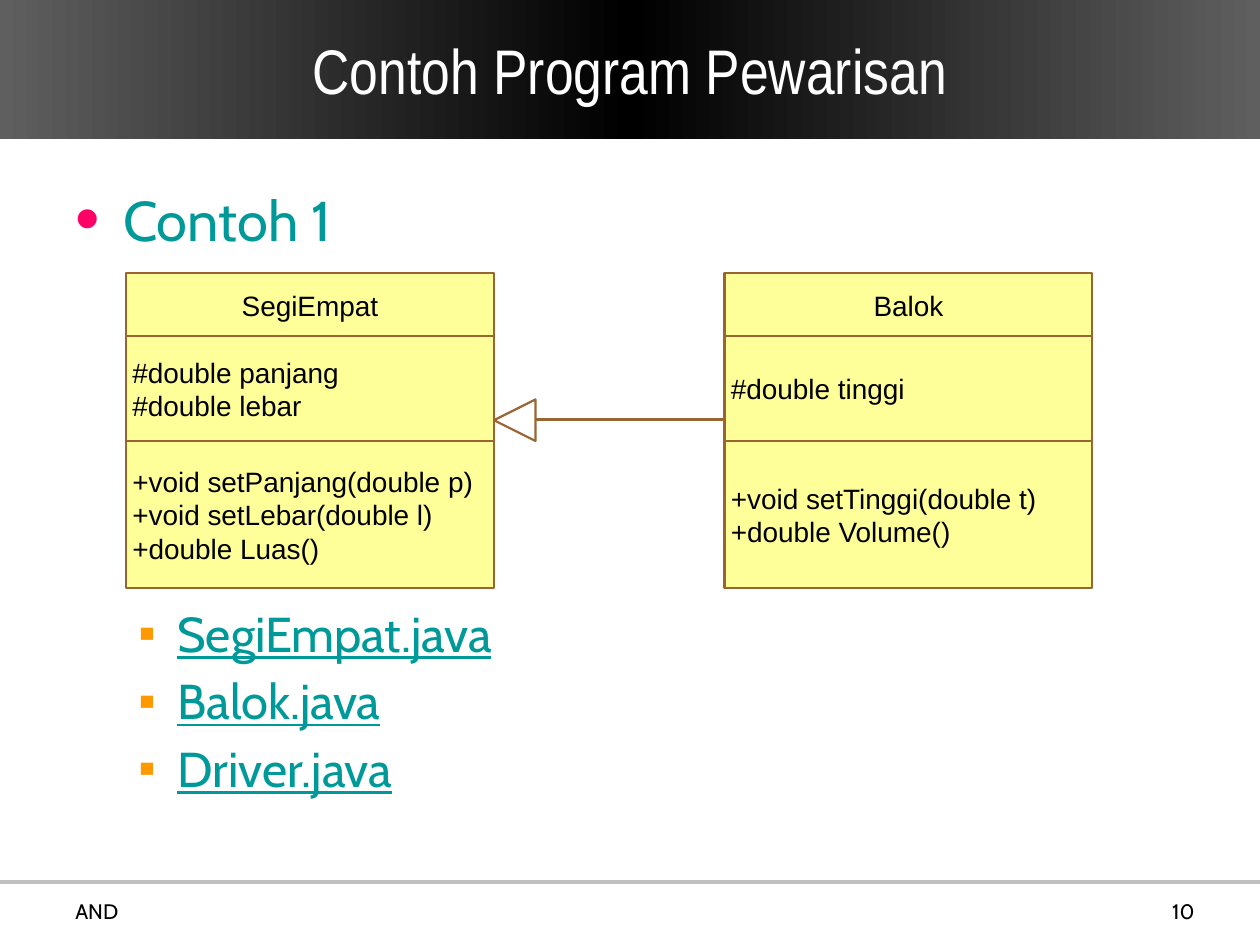
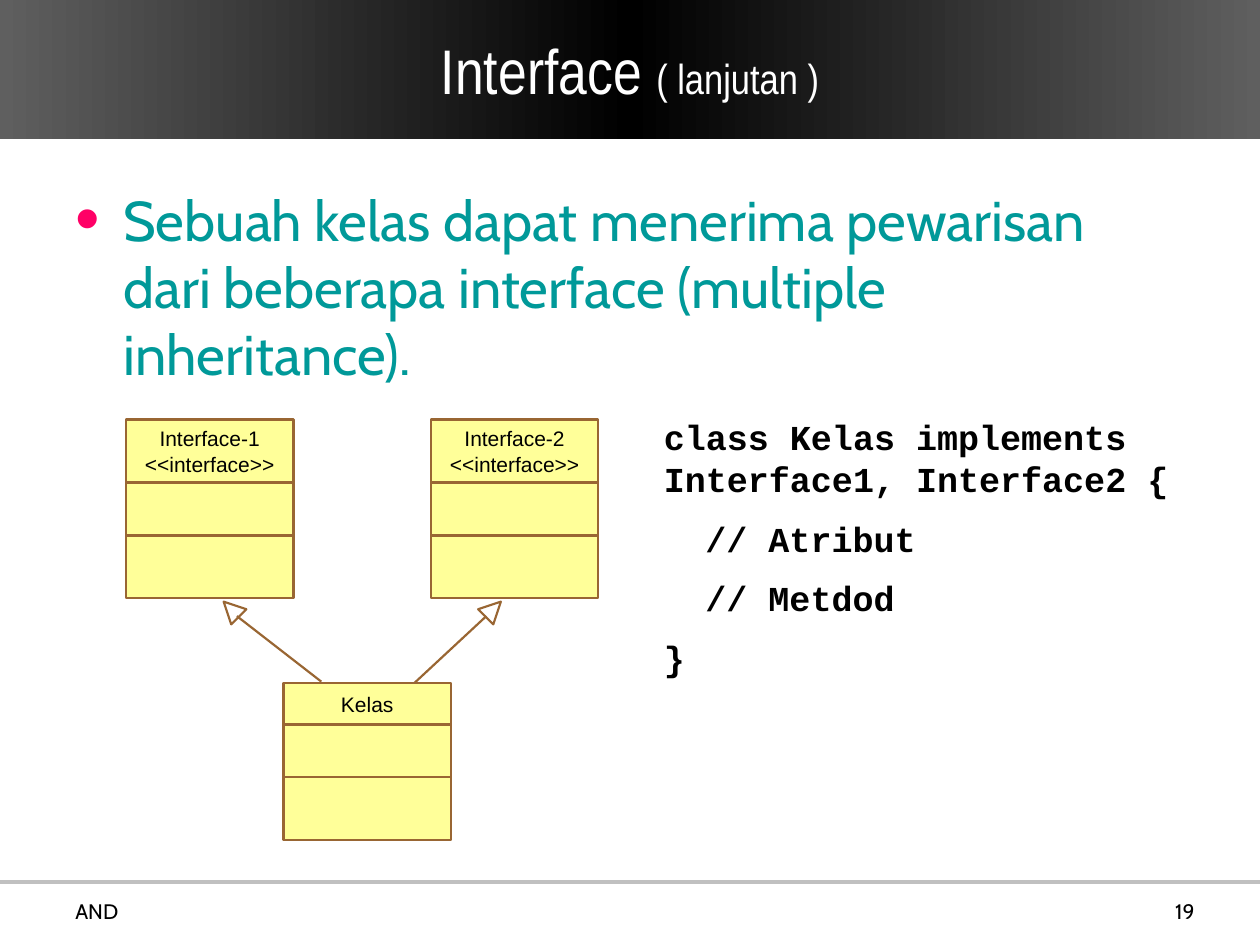
from copy import deepcopy

from lxml.etree import SubElement
from pptx import Presentation
from pptx.dml.color import RGBColor
from pptx.enum.shapes import MSO_CONNECTOR as Connector, MSO_SHAPE as Preset
from pptx.enum.text import MSO_ANCHOR as Anchor, PP_ALIGN as Align
from pptx.oxml.ns import qn
from pptx.util import Inches, Pt

COLORS = {
    "band_edge": "5F5F5F", "band_middle": "000000", "title": "FFFFFF",
    "text": "000000", "body": "009999", "rule": "C0C0C0",
    "dot": "FF0066", "square": "FF9900",
    "class_fill": "FFFF99", "class_line": "996633",
}
TITLE = {"name": "Arial Narrow", "size": Pt(36), "color": "title"}
SUBTITLE = {**TITLE, "size": Pt(24)}
FOOTER = {"name": "Cabin", "size": Pt(12), "color": "text"}
BODY = {"name": "Cabin", "size": Pt(32), "color": "body"}
FILE_LINK = {**BODY, "size": Pt(28), "underline": True}
CLASS_TEXT = {"name": "Arial", "size": Pt(16), "color": "text"}
SMALL_CLASS_TEXT = {**CLASS_TEXT, "size": Pt(12)}
CODE = {"name": "Courier New", "size": Pt(20), "bold": True, "color": "text"}

# Bullet: sign, colour, size in percent, left margin and hanging indent in inches
DOT = ("•", "dot", 125, 0.38, 0.38)
SQUARE = ("▪", "square", 100, 0.81, 0.31)

LINE_WIDTH = 1.25


def rgb(name):
    """Return the named colour."""
    return RGBColor.from_string(COLORS[name])


def add_run(paragraph, text, style):
    """Append a run whose font follows the style dict."""
    run = paragraph.add_run()
    run.text = text
    for key, value in style.items():
        if key == "color":
            run.font.color.rgb = rgb(value)
        else:
            setattr(run.font, key, value)


def write_lines(frame, lines, style, align=Align.LEFT, space=0):
    """Write one paragraph per line and return the paragraphs."""
    frame.word_wrap = True
    for index, line in enumerate(lines):
        paragraph = frame.add_paragraph() if index else frame.paragraphs[0]
        paragraph.alignment = align
        if index:
            paragraph.space_before = Pt(space)
        add_run(paragraph, line, style)
    return frame.paragraphs


def set_indent(paragraph, margin, hanging=0):
    """Set the left margin and hanging indent of a paragraph."""
    properties = paragraph._p.get_or_add_pPr()
    properties.set("marL", str(Inches(margin)))
    properties.set("indent", str(-Inches(hanging)))
    return properties


def add_text(slide, box, lines, style, **layout):
    """Add a text box and return its paragraphs."""
    shape = slide.shapes.add_textbox(*map(Inches, box))
    return write_lines(shape.text_frame, lines, style, **layout)


def add_bullets(slide, box, lines, style, bullet, space=0):
    """Add a text box with bulleted paragraphs."""
    sign, color, percent, margin, hanging = bullet
    for paragraph in add_text(slide, box, lines, style, space=space):
        properties = set_indent(paragraph, margin, hanging)
        bullet_color = SubElement(properties, qn("a:buClr"))
        SubElement(bullet_color, qn("a:srgbClr")).set("val", COLORS[color])
        SubElement(properties, qn("a:buSzPct")).set("val", str(percent * 1000))
        SubElement(properties, qn("a:buFont")).set("typeface", "Arial")
        SubElement(properties, qn("a:buChar")).set("char", sign)


def add_line(slide, start, end, color="class_line", width=LINE_WIDTH):
    """Add a straight connector without shadow."""
    points = map(Inches, (*start, *end))
    line = slide.shapes.add_connector(Connector.STRAIGHT, *points)
    line.line.color.rgb = rgb(color)
    line.line.width = Pt(width)
    SubElement(line._element.spPr, qn("a:effectLst"))


def add_preset(slide, preset, box, fill=None):
    """Add a flat preset shape with the diagram outline."""
    shape = slide.shapes.add_shape(preset, *map(Inches, box))
    shape.shadow.inherit = False
    if fill:
        shape.fill.solid()
        shape.fill.fore_color.rgb = rgb(fill)
    else:
        shape.fill.background()
    shape.line.color.rgb = rgb("class_line")
    shape.line.width = Pt(LINE_WIDTH)
    return shape


def add_class(slide, left, top, width, heights, sections, style):
    """Stack the name, attribute and method sections of a UML class."""
    for index, (height, lines) in enumerate(zip(heights, sections)):
        box = (left, top, width, height)
        shape = add_preset(slide, Preset.RECTANGLE, box, "class_fill")
        frame = shape.text_frame
        frame.vertical_anchor = Anchor.MIDDLE
        if index:
            for side in ("left", "top", "right", "bottom"):
                setattr(frame, f"margin_{side}", Inches(0.05))
        align = Align.LEFT if index else Align.CENTER
        write_lines(frame, lines, style, align)
        top += height


def add_inheritance(slide, head, size, rotation, start, end):
    """Draw a hollow triangle head and the line that leads to it."""
    triangle = add_preset(slide, Preset.ISOSCELES_TRIANGLE, (*head, size, size))
    triangle.rotation = rotation
    add_line(slide, start, end)


def add_title_band(slide, runs):
    """Draw the gradient band with the title runs."""
    band = add_preset(slide, Preset.RECTANGLE, (0, 0, 10, 1.1))
    band.line.fill.background()
    band.fill.gradient()
    band.fill.gradient_angle = 0
    first = band.fill.gradient_stops[0]._gs
    first.addnext(deepcopy(first))
    stops = (("band_edge", 0), ("band_middle", 0.5), ("band_edge", 1))
    for stop, (color, position) in zip(band.fill.gradient_stops, stops):
        stop.color.rgb = rgb(color)
        stop.position = position
    frame = band.text_frame
    frame.vertical_anchor = Anchor.MIDDLE
    paragraph = frame.paragraphs[0]
    paragraph.alignment = Align.CENTER
    for text, style in runs:
        add_run(paragraph, text, style)


def add_base_slide(presentation, number, title_runs):
    """Add a blank slide with the shared rule, footer and title band."""
    slide = presentation.slides.add_slide(presentation.slide_layouts[6])
    add_line(slide, (0, 7), (10, 7), "rule", 2.25)
    add_text(slide, (7.25, 7.08, 2.33, 0.42), [number], FOOTER, align=Align.RIGHT)
    add_text(slide, (0.5, 7.08, 3.17, 0.42), ["AND"], FOOTER)
    add_title_band(slide, title_runs)
    return slide


def build_example(presentation):
    """Build the inheritance example with two classes and its files."""
    slide = add_base_slide(presentation, "10", [("Contoh Program Pewarisan", TITLE)])
    add_bullets(slide, (0.5, 1.42, 9, 0.7), ["Contoh 1"], BODY, DOT)
    files = ["SegiEmpat.java", "Balok.java", "Driver.java"]
    add_bullets(slide, (0.5, 4.74, 9, 1.9), files, FILE_LINK, SQUARE, space=5)

    classes = {
        1: (["SegiEmpat"],
            ["#double panjang", "#double lebar"],
            ["+void setPanjang(double p)", "+void setLebar(double l)",
             "+double Luas()"]),
        5.75: (["Balok"],
               ["#double tinggi"],
               ["+void setTinggi(double t)", "+double Volume()"]),
    }
    for left, sections in classes.items():
        add_class(slide, left, 2.17, 2.92, (0.5, 0.83, 1.17), sections, CLASS_TEXT)
    add_inheritance(slide, (3.92, 3.17), 0.33, 270, (5.75, 3.33), (4.25, 3.33))


def build_interface(presentation):
    """Build the multiple inheritance slide with diagram and code."""
    runs = [("Interface ", TITLE), ("( lanjutan )", SUBTITLE)]
    slide = add_base_slide(presentation, "19", runs)
    statement = ("Sebuah kelas dapat menerima pewarisan dari beberapa "
                 "interface (multiple inheritance).")
    add_bullets(slide, (0.5, 1.42, 9, 1.8), [statement], BODY, DOT)

    boxes = (
        (1, 3.33, 0.5, ["Interface-1", "<<interface>>"]),
        (3.42, 3.33, 0.5, ["Interface-2", "<<interface>>"]),
        (2.25, 5.42, 0.33, ["Kelas"]),
    )
    for left, top, name_height, name in boxes:
        heights = (name_height, 0.42, 0.5)
        add_class(slide, left, top, 1.33, heights, (name, [], []), SMALL_CLASS_TEXT)
    add_inheritance(slide, (1.75, 4.75), 0.17, 315, (2.55, 5.41), (1.88, 4.89))
    add_inheritance(slide, (3.83, 4.75), 0.17, 45, (3.29, 5.42), (3.86, 4.89))

    code = ["class Kelas implements Interface1, Interface2 {",
            "// Atribut", "// Metdod", "}"]
    paragraphs = add_text(slide, (5.17, 3.25, 4.42, 2.27), code, CODE, space=10)
    for comment in paragraphs[1:3]:
        set_indent(comment, 0.33)


def main():
    """Build and save the presentation."""
    presentation = Presentation()
    presentation.slide_width = Inches(10)
    presentation.slide_height = Inches(7.5)
    build_example(presentation)
    build_interface(presentation)
    presentation.save("out.pptx")


main()
